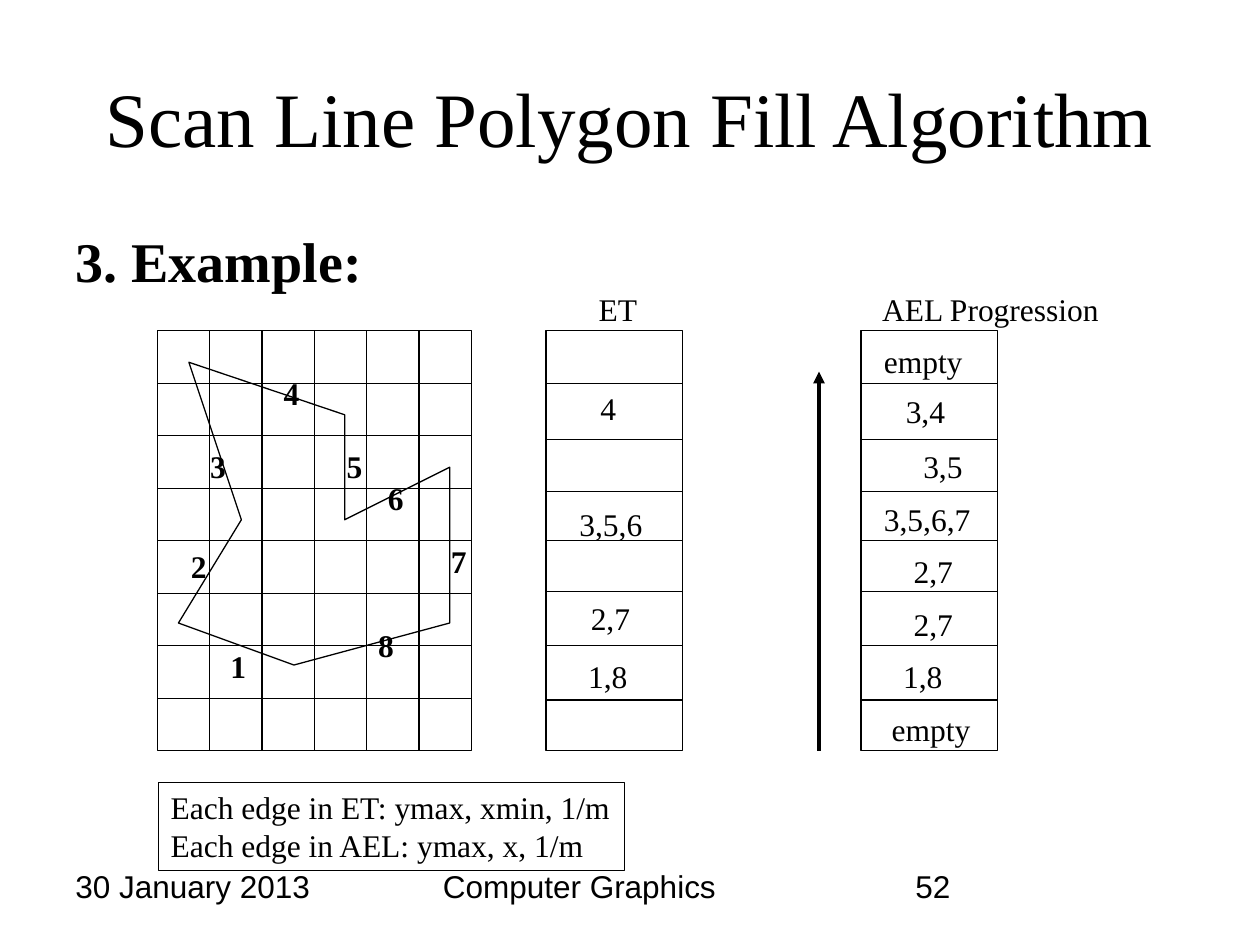
"""Build the slide on the scan line polygon fill algorithm."""
from dataclasses import dataclass
from typing import Any

import pptx
import pptx.dml.color
import pptx.enum.shapes
import pptx.enum.text
import pptx.oxml.ns
import pptx.util
from lxml import etree

Pt = pptx.util.Pt
Align = pptx.enum.text.PP_ALIGN
Anchor = pptx.enum.text.MSO_ANCHOR
Fit = pptx.enum.text.MSO_AUTO_SIZE
qn = pptx.oxml.ns.qn


@dataclass(frozen=True)
class Theme:
    """Hold the colours, fonts and sizes of the slide."""
    ink: Any = pptx.dml.color.RGBColor(0, 0, 0)
    serif: str = "Times New Roman"
    sans: str = "Arial"
    title: float = 44
    head: float = 32
    text: float = 18
    thin: float = 0.75
    thick: float = 2.25


@dataclass(frozen=True)
class Label:
    """Describe a short line of text and its box."""
    text: str
    left: float
    top: float
    width: float
    high: float = 28.8


@dataclass(frozen=True)
class Grid:
    """Describe a ruled box by its frame and inner lines."""
    left: float
    top: float
    width: float
    high: float
    rows: tuple[float, ...]
    cols: tuple[float, ...] = ()


THEME = Theme()
TOP, HIGH, CELL, STEP = 189, 240, 29.9, 30
RULES = (219, 251, 281, 309, 338, 369, 400)
GRIDS = (
    Grid(90, TOP, 6 * CELL, HIGH,
         tuple(TOP + STEP * i for i in range(1, 8)),
         tuple(90 + CELL * i for i in range(1, 6))),
    Grid(312, TOP, 78, HIGH, RULES),
    Grid(492, TOP, 78, HIGH, RULES),
)
CORNERS = (
    (167.8, 380.2), (102.2, 356.4), (137.5, 296.6), (108, 207.4),
    (197.3, 236.9), (197.3, 296.6), (257, 267.1), (257, 356.4),
)
EDGES = (
    Label("1", 124.5, 366, 24), Label("2", 102, 309, 24),
    Label("3", 113, 252, 24), Label("4", 155, 210, 24),
    Label("5", 191, 252, 24), Label("6", 214.5, 270, 24),
    Label("7", 250.5, 306, 24), Label("8", 209, 354, 24),
)
ENTRIES = (
    Label("ET", 335, 162, 38), Label("4", 336, 219, 24),
    Label("3,5,6", 324, 285, 52), Label("2,7", 330.5, 339, 38),
    Label("1,8", 329, 372, 38),
    Label("AEL Progression", 497, 162, 140), Label("empty", 498, 192, 61),
    Label("3,4", 510.5, 220.5, 38), Label("3,5", 520.5, 252, 38),
    Label("3,5,6,7", 498, 282, 65), Label("2,7", 515, 312, 38),
    Label("2,7", 515, 342, 38), Label("1,8", 509, 372, 38),
    Label("empty", 502.5, 402, 61),
)
FOOT = (
    Label("30 January 2013", 36, 492, 168, 36.7),
    Label("Computer Graphics", 246, 492, 227.5, 36.7),
    Label("52", 516, 492, 168, 36.7),
)
NOTE = Label("Each edge in ET: ymax, xmin, 1/m\n"
             "Each edge in AEL: ymax, x, 1/m", 90.5, 447, 266.5, 50.4)


def style(frame: Any, size: float, face: str = THEME.serif,
          bold: bool = False, align: Any = Align.LEFT) -> None:
    """Format every paragraph of a text frame."""
    for para in frame.paragraphs:
        para.alignment = align
        para.space_before = Pt(0)
        for run in para.runs:
            run.font.name = face
            run.font.size = Pt(size)
            run.font.bold = bold
            run.font.color.rgb = THEME.ink


def place(shape: Any, left: float, top: float, width: float,
          high: float) -> None:
    """Move and size a shape."""
    shape.left, shape.top = Pt(left), Pt(top)
    shape.width, shape.height = Pt(width), Pt(high)


def write(shapes: Any, label: Label, face: str = THEME.serif,
          bold: bool = False, wrap: bool = False) -> None:
    """Add a label as a text box."""
    box = shapes.add_textbox(Pt(label.left), Pt(label.top),
                             Pt(label.width), Pt(label.high))
    frame = box.text_frame
    frame.text = label.text
    frame.word_wrap = wrap
    frame.auto_size = Fit.NONE if wrap else Fit.SHAPE_TO_FIT_TEXT
    style(frame, THEME.text, face, bold)


def outline(shape: Any) -> None:
    """Leave a shape with only a thin line."""
    shape.shadow.inherit = False
    shape.fill.background()
    shape.line.color.rgb = THEME.ink
    shape.line.width = Pt(THEME.thin)


def frame_box(shapes: Any, left: float, top: float, width: float,
              high: float) -> Any:
    """Add an empty outlined box."""
    box = shapes.add_shape(pptx.enum.shapes.MSO_SHAPE.RECTANGLE,
                           Pt(left), Pt(top), Pt(width), Pt(high))
    outline(box)
    return box


def rule(shapes: Any, x: float, y: float, to_x: float, to_y: float,
         width: float = THEME.thin) -> Any:
    """Add a straight line."""
    line = shapes.add_connector(pptx.enum.shapes.MSO_CONNECTOR.STRAIGHT,
                                Pt(x), Pt(y), Pt(to_x), Pt(to_y))
    line.line.color.rgb = THEME.ink
    line.line.width = Pt(width)
    etree.SubElement(line._element.spPr, qn("a:effectLst"))
    return line


def draw_grid(shapes: Any, grid: Grid) -> None:
    """Add a box with its inner lines."""
    frame_box(shapes, grid.left, grid.top, grid.width, grid.high)
    for y in grid.rows:
        rule(shapes, grid.left, y, grid.left + grid.width, y)
    for x in grid.cols:
        rule(shapes, x, grid.top, x, grid.top + grid.high)


def draw_heads(slide: Any) -> None:
    """Fill the title and body placeholders."""
    title, body = slide.shapes.title, slide.placeholders[1]
    place(title, 36, 21.6, 648, 90)
    title.text_frame.text = "Scan Line Polygon Fill Algorithm"
    title.text_frame.vertical_anchor = Anchor.MIDDLE
    style(title.text_frame, THEME.title, align=Align.CENTER)
    place(body, 36, 126, 648, 356)
    body.text_frame.text = "3. Example:"
    props = body.text_frame.paragraphs[0]._p.get_or_add_pPr()
    props.set("marL", str(Pt(27)))
    props.set("indent", str(Pt(-27)))
    etree.SubElement(props, qn("a:buNone"))
    style(body.text_frame, THEME.head, bold=True)


def draw_note(shapes: Any, note: Label) -> None:
    """Add the outlined note on edge records."""
    box = frame_box(shapes, note.left, note.top, note.width, note.high)
    frame = box.text_frame
    frame.text = note.text
    frame.word_wrap = False
    frame.auto_size = Fit.SHAPE_TO_FIT_TEXT
    frame.vertical_anchor = Anchor.TOP
    style(frame, THEME.text)


def main() -> None:
    """Build and save the slide."""
    deck = pptx.Presentation()
    deck.slide_width, deck.slide_height = Pt(720), Pt(540)
    slide = deck.slides.add_slide(deck.slide_layouts[1])
    shapes = slide.shapes
    draw_heads(slide)
    for label in FOOT:
        write(shapes, label, THEME.sans, wrap=True)
    for grid in GRIDS:
        draw_grid(shapes, grid)
    pen = shapes.build_freeform(*CORNERS[0], scale=Pt(1))
    pen.add_line_segments(CORNERS[1:], close=True)
    outline(pen.convert_to_shape())
    for label in EDGES:
        write(shapes, label, bold=True)
    for label in ENTRIES:
        write(shapes, label)
    draw_note(shapes, NOTE)
    arrow = rule(shapes, 468, 429, 468, 212.4, THEME.thick)
    etree.SubElement(arrow.line._get_or_add_ln(), qn("a:tailEnd"),
                     type="triangle")
    deck.save("out.pptx")


if __name__ == "__main__":
    main()
